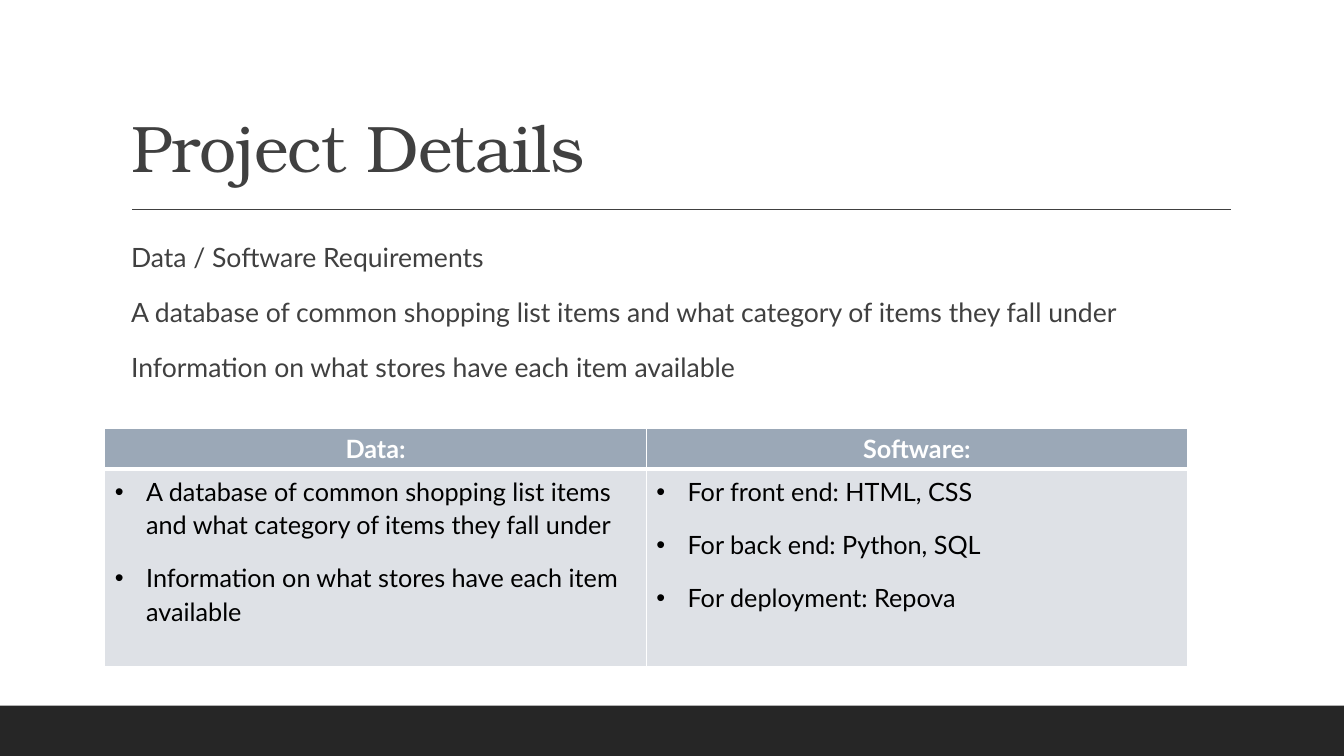
from pptx import Presentation, util as u
from pptx.dml.color import RGBColor
from pptx.enum import shapes, text
from pptx.oxml import parse_xml
from pptx.oxml.ns import nsdecls

# Content
TITLE = "Project Details"
BODY = [
    "Data / Software Requirements",
    "A database of common shopping list items and what category of items they fall under",
    "Information on what stores have each item available",
]
TABLE = {
    "Data:": BODY[1:],
    "Software:": [
        "For front end: HTML, CSS",
        "For back end: Python, SQL",
        "For deployment: Repova",
    ],
}

# Theme
THEME = {
    "ink": "404040", "bar": "262626", "head": "9BA8B7", "cell": "DEE1E6",
    "white": "FFFFFF", "black": "000000",
    "title_font": "TeX Gyre Bonum", "body_font": "Lato",
    "title_size": 47, "body_size": 19, "table_size": 18,
}
SPACED = {"line_spacing": 1.1, "space_before": u.Pt(12), "space_after": u.Pt(2)}
SLIDE_W, SLIDE_H, BAR_H = 13.33, 7.5, 0.5
ROW_HEIGHTS = [0.38, 1.96]


def color(name):
    return RGBColor.from_string(THEME[name])


def box(left, top, width, height):
    return [u.Inches(v) for v in (left, top, width, height)]


def place(sp, *at):
    sp.left, sp.top, sp.width, sp.height = box(*at)


def write(p, words, font, size, ink, bold=False, **layout):
    for name, value in layout.items():
        setattr(p, name, value)
    r = p.add_run()
    r.text = words
    style = {"name": THEME[font], "size": u.Pt(THEME[size]), "bold": bold}
    for name, value in style.items():
        setattr(r.font, name, value)
    r.font.color.rgb = color(ink)
    return r


def write_list(tf, lines, font, size, ink, indent, hanging, bullet):
    for i, line in enumerate(lines):
        p = tf.paragraphs[0] if i == 0 else tf.add_paragraph()
        write(p, line, font, size, ink, alignment=text.PP_ALIGN.LEFT, **SPACED)
        pPr = p._p.get_or_add_pPr()
        pPr.set("marL", str(u.Inches(indent)))
        pPr.set("indent", str(-u.Inches(hanging)))
        for xml in bullet:
            pPr.append(parse_xml(xml))


def border(cell, **widths):
    tcPr = cell._tc.get_or_add_tcPr()
    for side, points in widths.items():
        tcPr.append(parse_xml(
            f'<a:ln{side} {nsdecls("a")} w="{u.Pt(points)}"><a:solidFill>'
            f'<a:srgbClr val="{THEME["white"]}"/></a:solidFill></a:ln{side}>'))


def paint(cell, name):
    cell.fill.solid()
    cell.fill.fore_color.rgb = color(name)


NO_BULLET = [f'<a:buNone {nsdecls("a")}/>']
DOT = [f'<a:buFont {nsdecls("a")} typeface="Arial"/>',
       f'<a:buChar {nsdecls("a")} char="•"/>']

prs = Presentation()
prs.slide_width, prs.slide_height = u.Inches(SLIDE_W), u.Inches(SLIDE_H)
s = prs.slides.add_slide(prs.slide_layouts[1])

# Footer bar
bar = s.shapes.add_shape(shapes.MSO_SHAPE.RECTANGLE,
                         *box(0, SLIDE_H - BAR_H, SLIDE_W, BAR_H))
bar.shadow.inherit = False
bar.fill.solid()
bar.fill.fore_color.rgb = color("bar")
bar.line.fill.background()

# Rule under the title
rule = s.shapes.add_connector(shapes.MSO_CONNECTOR.STRAIGHT,
                              *box(1.31, 2.08, 12.21, 2.08))
rule.line.color.rgb = color("ink")
rule.line.width = u.Pt(1)
rule._element.spPr.append(parse_xml(f'<a:effectLst {nsdecls("a")}/>'))

# Title
title = s.shapes.title
place(title, 1.2, 0.31, 11, 1.59)
tf = title.text_frame
tf.auto_size = text.MSO_AUTO_SIZE.NONE
tf.vertical_anchor = text.MSO_ANCHOR.BOTTOM
r = write(tf.paragraphs[0], TITLE, "title_font", "title_size", "ink",
          alignment=text.PP_ALIGN.LEFT, line_spacing=0.9)
r._r.get_or_add_rPr().set("spc", "-50")

# Requirements
body = s.placeholders[1]
place(body, 1.2, 2.31, 11.75, 1.61)
tf = body.text_frame
tf.auto_size = text.MSO_AUTO_SIZE.NONE
tf.margin_left = tf.margin_right = 0
write_list(tf, BODY, "body_font", "body_size", "ink", 0.1, 0, NO_BULLET)

# Data and software table
frame = s.shapes.add_table(len(ROW_HEIGHTS), len(TABLE),
                           *box(1.04, 4.25, 10.74, sum(ROW_HEIGHTS)))
table = frame.table
for row, height in zip(table.rows, ROW_HEIGHTS):
    row.height = u.Inches(height)
for col, (heading, items) in enumerate(TABLE.items()):
    head, cell = table.cell(0, col), table.cell(1, col)
    border(head, L=1, R=1, T=1, B=3)
    border(cell, L=1, R=1, T=3, B=1)
    paint(head, "head")
    paint(cell, "cell")
    write(head.text_frame.paragraphs[0], heading, "body_font", "table_size",
          "white", bold=True, alignment=text.PP_ALIGN.CENTER)
    write_list(cell.text_frame, items, "body_font", "table_size", "black",
               0.31, 0.31, DOT)

prs.save("out.pptx")
